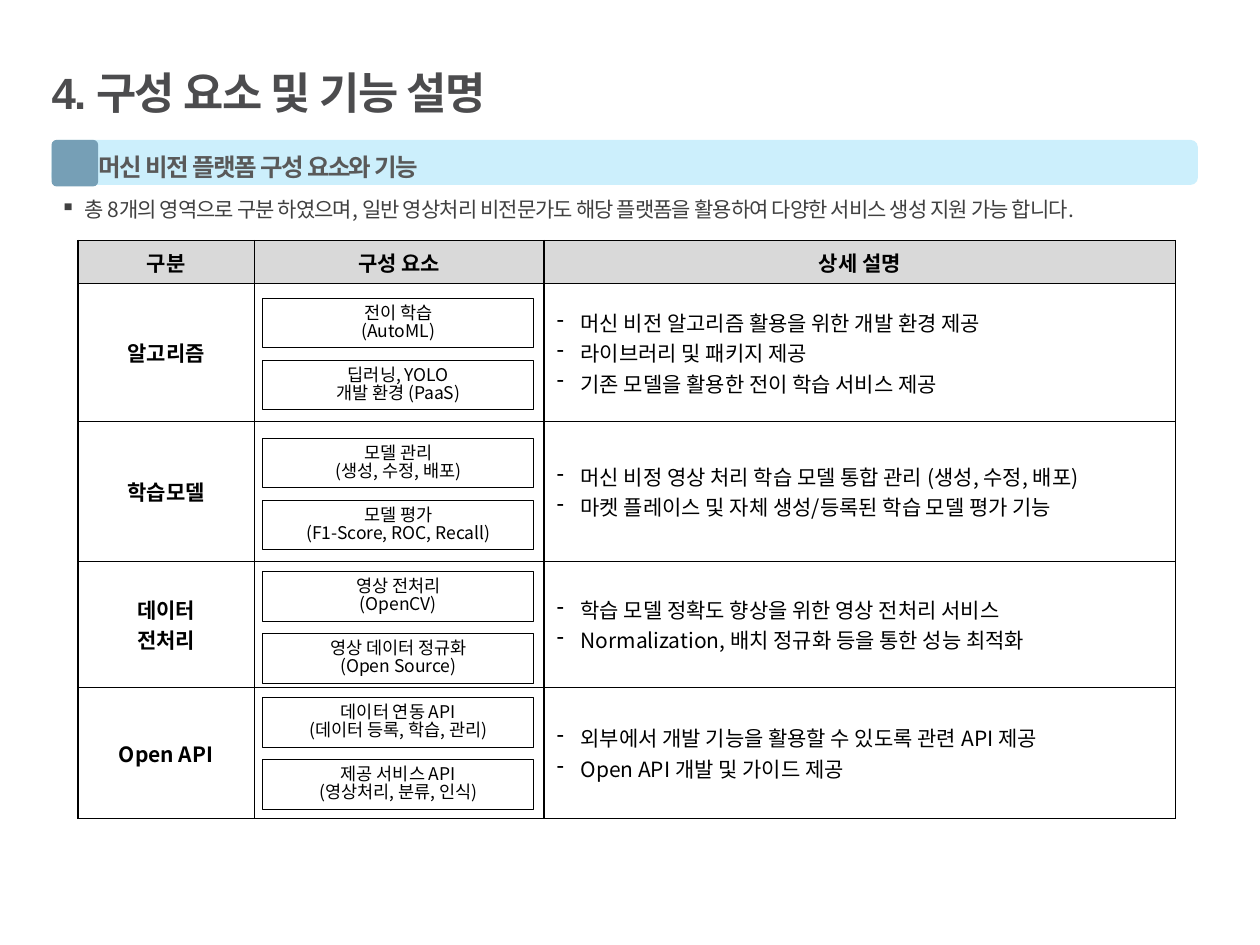
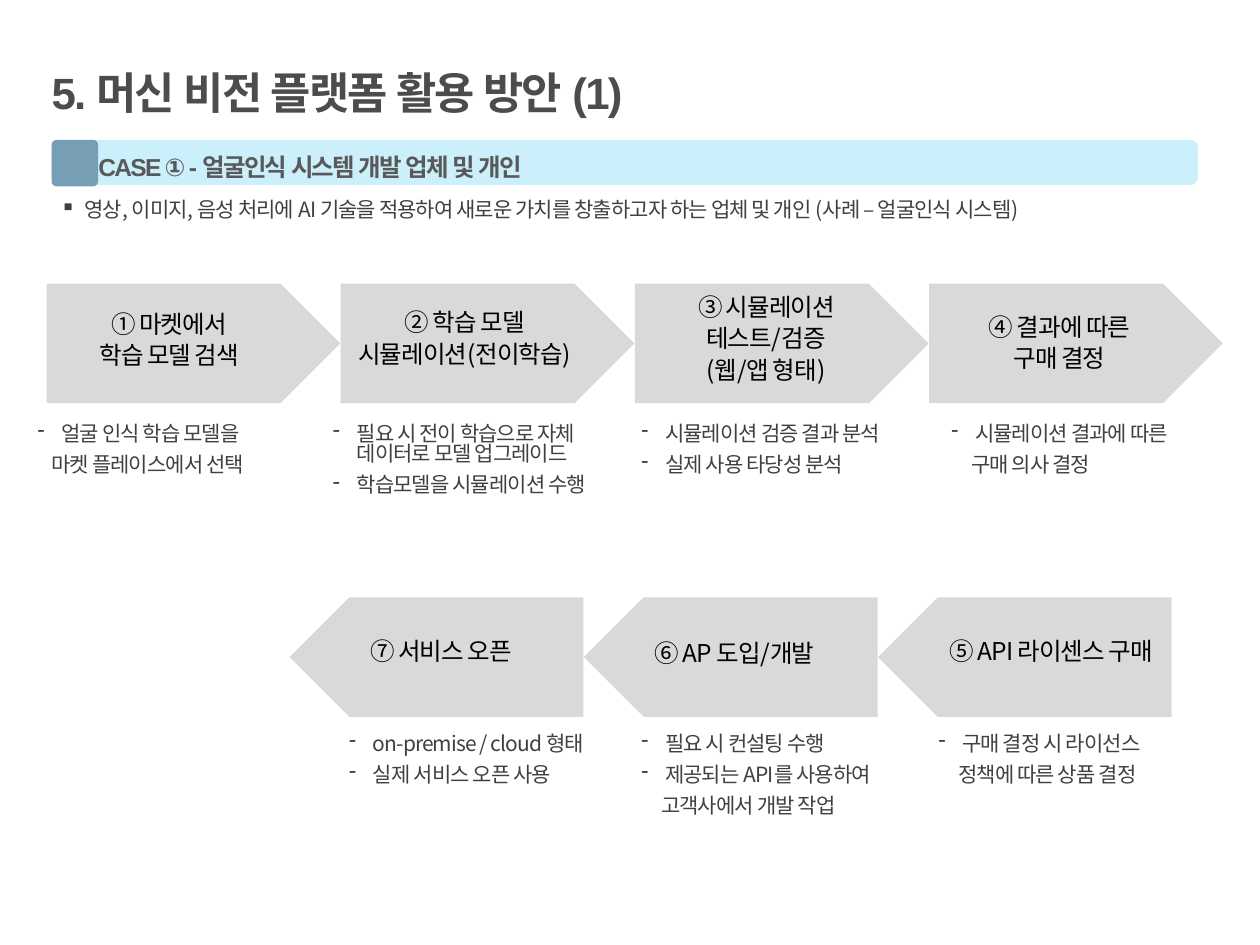
from lxml import etree
from pptx import Presentation
from pptx.dml.color import RGBColor
from pptx.enum.shapes import MSO_SHAPE as Preset
from pptx.enum.text import MSO_ANCHOR as Anchor, PP_ALIGN as Align
from pptx.oxml.ns import qn
from pptx.util import Cm, Pt

BLACK = RGBColor(0x00, 0x00, 0x00)
TITLE_GRAY = RGBColor(0x4C, 0x4C, 0x4E)
BAND_TEXT = RGBColor(0x59, 0x59, 0x59)
BODY_GRAY = RGBColor(0x40, 0x40, 0x40)
FILL_GRAY = RGBColor(0xD9, 0xD9, 0xD9)
BAND_BLUE = RGBColor(0x00, 0xB0, 0xF0)
BADGE_BLUE = RGBColor(0x76, 0x9F, 0xB6)

HEADING_FONT = "Arial"
BODY_FONT = "Noto Sans CJK KR"
HANGING = Cm(0.48)
NOTE_FORMAT = dict(size=12, color=BODY_GRAY, spacing=-0.5,
                   line_spacing=0.82, gap=3)

COLUMN_WIDTHS = (3.56, 5.84, 12.73)
ROW_HEIGHTS = (0.86, 2.79, 2.82, 2.54, 2.64)
HEADERS = ("구분", "구성 요소", "상세 설명")
# Category lines, description lines, top of the first component, components
AREAS = (
    (["알고리즘"],
     ["머신 비전 알고리즘 활용을 위한 개발 환경 제공",
      "라이브러리 및 패키지 제공",
      "기존 모델을 활용한 전이 학습 서비스 제공"],
     6.02, (["전이 학습", "(AutoML)"], ["딥러닝, YOLO", "개발 환경 (PaaS)"])),
    (["학습모델"],
     ["머신 비정 영상 처리 학습 모델 통합 관리 (생성, 수정, 배포)",
      "마켓 플레이스 및 자체 생성/등록된 학습 모델 평가 기능"],
     8.84, (["모델 관리", "(생성, 수정, 배포)"],
            ["모델 평가", "(F1-Score, ROC, Recall)"])),
    (["데이터", "전처리"],
     ["학습 모델 정확도 향상을 위한 영상 전처리 서비스",
      "Normalization, 배치 정규화 등을 통한 성능 최적화"],
     11.53, (["영상 전처리", "(OpenCV)"],
             ["영상 데이터 정규화", "(Open Source)"])),
    (["Open API"],
     ["외부에서 개발 기능을 활용할 수 있도록 관련 API 제공",
      "Open API 개발 및 가이드 제공"],
     14.07, (["데이터 연동 API", "(데이터 등록, 학습, 관리)"],
             ["제공 서비스 API", "(영상처리, 분류, 인식)"])),
)

ARROW_WIDTH, ARROW_HEIGHT, ARROW_PITCH = 5.92, 2.41, 5.93
# Left and top of the first arrow, rotation
ARROW_ROWS = ((0.94, 5.72, 0, 4), (5.84, 12.04, 180, 3))
# Left, top, lines
STEP_LABELS = (
    (0.97, 6.18, ["① 마켓에서", "학습 모델 검색"]),
    (6.93, 6.15, ["② 학습 모델", "시뮬레이션(전이학습)"]),
    (13.0, 5.84, ["③ 시뮬레이션 테스트/검증", "(웹/앱 형태)"]),
    (18.92, 6.25, ["④ 결과에 따른", "구매 결정"]),
    (18.75, 12.78, ["⑤ API 라이센스 구매"]),
    (12.37, 12.83, ["⑥ AP 도입/개발"]),
    (6.45, 12.78, ["⑦ 서비스 오픈"]),
)
# Left, top, width, bulleted lines, unbulleted last line, its indent
STEP_NOTES = (
    (0.76, 8.56, 5.49, ["얼굴 인식 학습 모델을"], "마켓 플레이스에서 선택", 0.28),
    (6.71, 8.56, 5.89, ["필요 시 전이 학습으로 자체 데이터로 모델 업그레이드",
                        "학습모델을 시뮬레이션 수행"], None, 0),
    (12.93, 8.56, 5.89, ["시뮬레이션 검증 결과 분석", "실제 사용 타당성 분석"], None, 0),
    (19.18, 8.56, 5.26, ["시뮬레이션 결과에 따른"], "구매 의사 결정", 0.4),
    (18.92, 14.81, 5.26, ["구매 결정 시 라이선스"], "정책에 따른 상품 결정", 0.4),
    (12.93, 14.81, 5.26, ["필요 시 컨설팅 수행", "제공되는 API를 사용하여"],
     "고객사에서 개발 작업", 0.4),
    (7.04, 14.81, 5.26, ["on-premise / cloud 형태", "실제 서비스 오픈 사용"], None, 0),
)


def set_indent(paragraph, left, bullet=None):
    properties = paragraph._p.get_or_add_pPr()
    properties.set("marL", str(left))
    if bullet:
        properties.set("indent", str(-left))
        etree.SubElement(properties, qn("a:buChar")).set("char", bullet)


def write(text_frame, lines, *, size, color, font=BODY_FONT, bold=False, spacing=0,
          align=Align.LEFT, line_spacing=None, gap=None, bullet=None):
    """Write one paragraph per line and return the paragraphs."""
    paragraphs = []
    for index, line in enumerate(lines):
        paragraph = text_frame.add_paragraph() if index else text_frame.paragraphs[0]
        paragraph.alignment = align
        if line_spacing:
            paragraph.line_spacing = line_spacing
        if gap:
            paragraph.space_before = paragraph.space_after = Pt(gap)
        if bullet:
            set_indent(paragraph, HANGING, bullet)
        run = paragraph.add_run()
        run.text = line
        run.font.size, run.font.bold = Pt(size), bold
        run.font.color.rgb = color
        run.font.name = font
        properties = run._r.get_or_add_rPr()
        etree.SubElement(properties, qn("a:ea")).set("typeface", font)
        if spacing:
            properties.set("spc", str(int(spacing * 100)))
        paragraphs.append(paragraph)
    return paragraphs


def add_text(slide, left, top, width, height, lines, **text_format):
    """Add a wrapping text box without margins."""
    box = slide.shapes.add_textbox(Cm(left), Cm(top), Cm(width), Cm(height))
    text_frame = box.text_frame
    text_frame.word_wrap = True
    text_frame.margin_left = text_frame.margin_right = 0
    text_frame.margin_top = text_frame.margin_bottom = 0
    return write(text_frame, lines, **text_format)


def add_block(slide, preset, left, top, width, height, fill=None, line=None):
    shape = slide.shapes.add_shape(preset, Cm(left), Cm(top), Cm(width), Cm(height))
    shape.shadow.inherit = False
    if fill is None:
        shape.fill.background()
    else:
        shape.fill.solid()
        shape.fill.fore_color.rgb = fill
    if line is None:
        shape.line.fill.background()
    else:
        shape.line.color.rgb = line
        shape.line.width = Pt(0.5)
    return shape


def set_opacity(shape, percent):
    color = shape._element.spPr.find(qn("a:solidFill"))[0]
    etree.SubElement(color, qn("a:alpha")).set("val", str(percent * 1000))


def start_slide(presentation, title, heading, lead):
    """Add a slide with its title, heading band and lead sentence."""
    slide = presentation.slides.add_slide(presentation.slide_layouts[6])
    add_text(slide, 1.04, 1.45, 22.66, 1.22, [title], size=25, color=TITLE_GRAY,
             font=HEADING_FONT, bold=True, spacing=-1, line_spacing=0.9)
    band = add_block(slide, Preset.ROUNDED_RECTANGLE, 1.04, 2.82, 23.11, 0.91, BAND_BLUE)
    set_opacity(band, 20)
    band.text_frame.margin_left = Cm(0.9)
    band.text_frame.vertical_anchor = Anchor.MIDDLE
    write(band.text_frame, [heading], size=14, color=BAND_TEXT, font=HEADING_FONT,
          bold=True, spacing=-1, line_spacing=1.3)
    badge = add_block(slide, Preset.ROUNDED_RECTANGLE, 1.04, 2.82, 0.94, 0.94, BADGE_BLUE)
    badge.adjustments[0] = 0.11
    add_text(slide, 1.22, 4.06, 23.22, 0.51, [lead], bullet="▪", **NOTE_FORMAT)
    return slide


def add_borders(cell):
    properties = cell._tc.get_or_add_tcPr()
    for side in ("lnL", "lnR", "lnT", "lnB"):
        line = etree.SubElement(properties, qn(f"a:{side}"), w=str(Pt(1)))
        fill = etree.SubElement(line, qn("a:solidFill"))
        etree.SubElement(fill, qn("a:srgbClr"), val=str(BLACK))


def fill_cell(cell, lines, fill=None, **text_format):
    add_borders(cell)
    cell.vertical_anchor = Anchor.MIDDLE
    if fill is None:
        cell.fill.background()
    else:
        cell.fill.solid()
        cell.fill.fore_color.rgb = fill
    write(cell.text_frame, lines, size=12, color=BLACK, **text_format)


def add_area_table(slide):
    frame = slide.shapes.add_table(len(ROW_HEIGHTS), len(COLUMN_WIDTHS), Cm(1.57), Cm(4.85),
                                   Cm(sum(COLUMN_WIDTHS)), Cm(sum(ROW_HEIGHTS)))
    table = frame.table
    for column, width in zip(table.columns, COLUMN_WIDTHS):
        column.width = Cm(width)
    for row, height in zip(table.rows, ROW_HEIGHTS):
        row.height = Cm(height)
    for column, header in enumerate(HEADERS):
        fill_cell(table.cell(0, column), [header], FILL_GRAY, bold=True, align=Align.CENTER)
    for row, (category, description, _, _) in enumerate(AREAS, start=1):
        fill_cell(table.cell(row, 0), category, bold=True, align=Align.CENTER)
        fill_cell(table.cell(row, 1), [])
        fill_cell(table.cell(row, 2), description, bullet="-")


def add_component(slide, top, lines):
    box = add_block(slide, Preset.RECTANGLE, 5.3, top, 5.46, 0.99, line=BLACK)
    box.text_frame.word_wrap = True
    box.text_frame.vertical_anchor = Anchor.MIDDLE
    write(box.text_frame, lines, size=10, color=BLACK, align=Align.CENTER,
          line_spacing=0.85)


def add_step_note(slide, left, top, width, bullets, last_line, indent):
    lines = bullets + [last_line] if last_line else bullets
    paragraphs = add_text(slide, left, top, width, 0.7 * len(lines), lines, **NOTE_FORMAT)
    for paragraph in paragraphs[:len(bullets)]:
        set_indent(paragraph, HANGING, "-")
    if last_line:
        set_indent(paragraphs[-1], Cm(indent))


def build_components_slide(presentation):
    slide = start_slide(
        presentation, "4. 구성 요소 및 기능 설명", "머신 비전 플랫폼 구성 요소와 기능",
        "총 8개의 영역으로 구분 하였으며, 일반 영상처리 비전문가도 해당 플랫폼을 활용하여 "
        "다양한 서비스 생성 지원 가능 합니다.")
    add_area_table(slide)
    for _, _, first_top, components in AREAS:
        for index, lines in enumerate(components):
            add_component(slide, first_top + 1.25 * index, lines)


def build_process_slide(presentation):
    slide = start_slide(
        presentation, "5. 머신 비전 플랫폼 활용 방안 (1)",
        "CASE ① - 얼굴인식 시스템 개발 업체 및 개인",
        "영상, 이미지, 음성 처리에 AI 기술을 적용하여 새로운 가치를 창출하고자 하는 "
        "업체 및 개인 (사례 – 얼굴인식 시스템)")
    for left, top, rotation, count in ARROW_ROWS:
        for index in range(count):
            arrow = add_block(slide, Preset.PENTAGON, left + ARROW_PITCH * index, top,
                              ARROW_WIDTH, ARROW_HEIGHT, FILL_GRAY)
            arrow.rotation = rotation
    for left, top, lines in STEP_LABELS:
        add_text(slide, left, top, 4.88, 0.89, lines, size=14, color=BLACK,
                 spacing=-0.6, align=Align.CENTER, line_spacing=1.07)
    for note in STEP_NOTES:
        add_step_note(slide, *note)


def main():
    presentation = Presentation()
    presentation.slide_width, presentation.slide_height = Cm(25.4), Cm(19.05)
    build_components_slide(presentation)
    build_process_slide(presentation)
    presentation.save("out.pptx")


if __name__ == "__main__":
    main()
